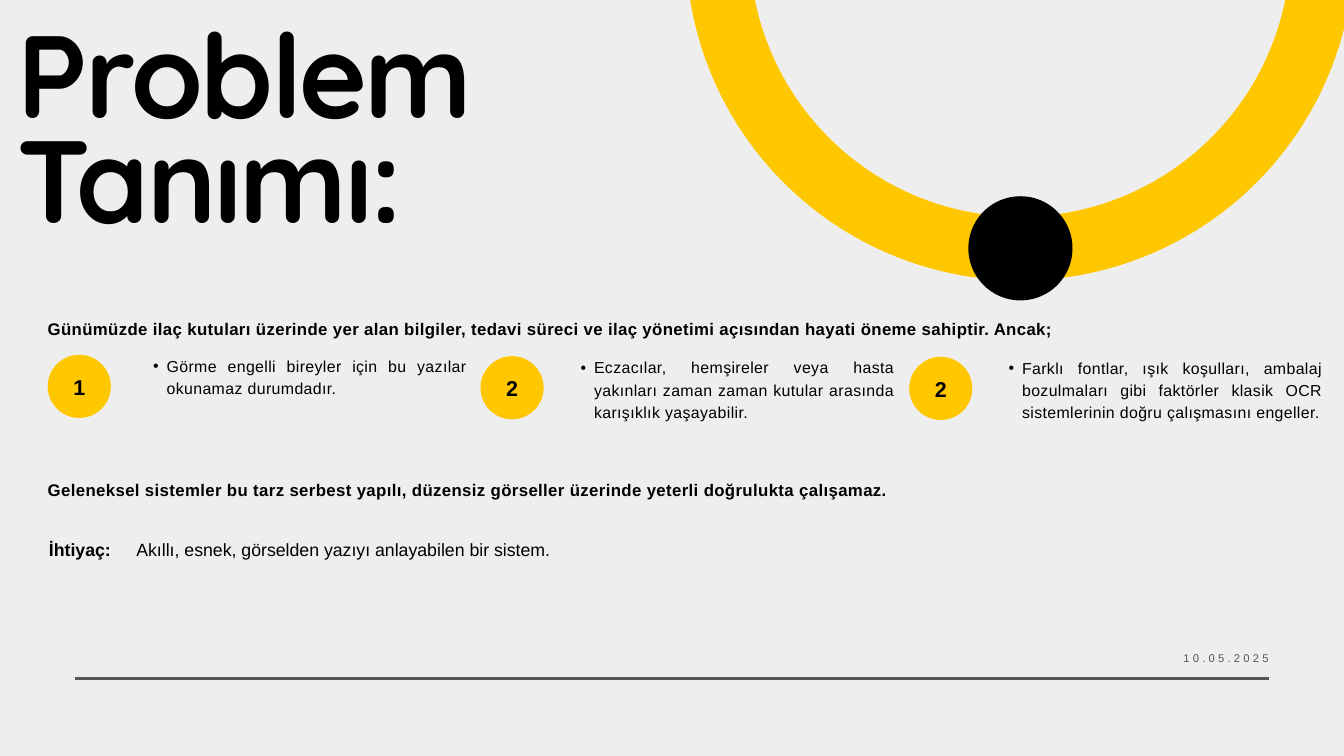
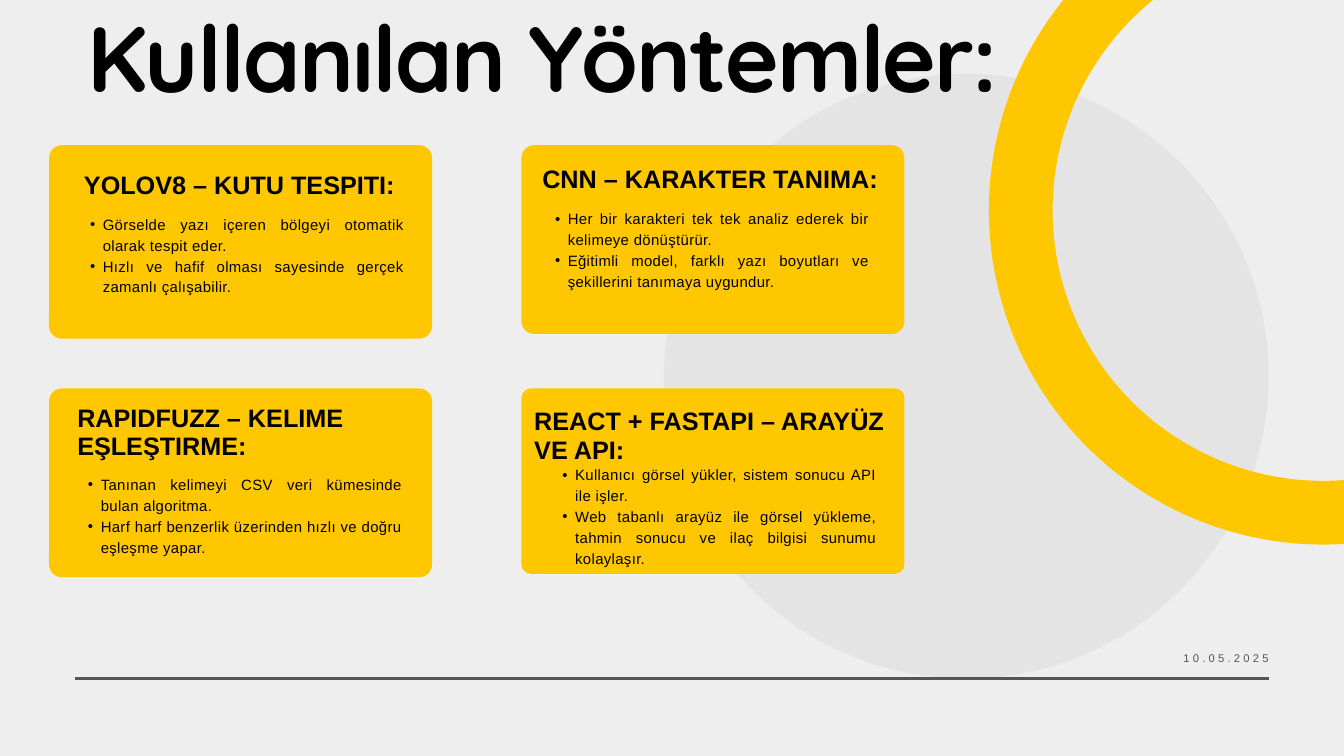
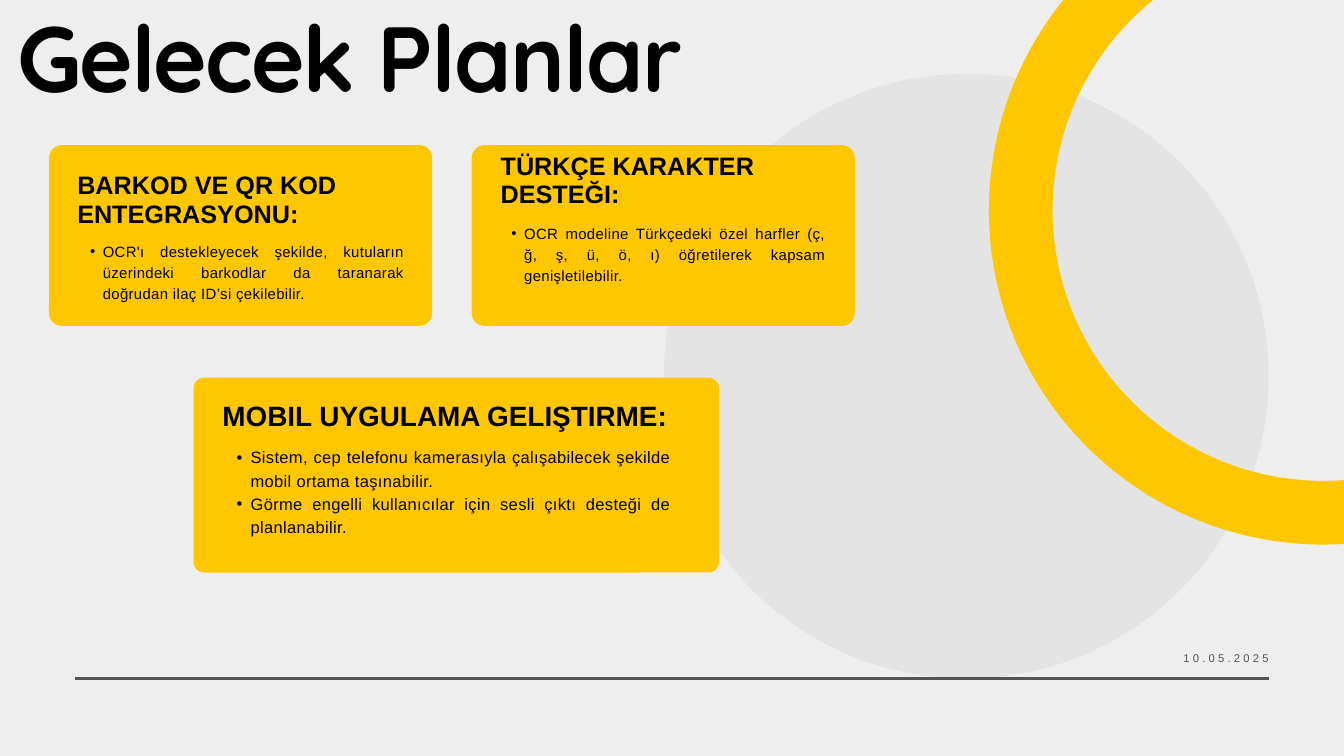
from lxml.etree import SubElement
from pptx import Presentation
from pptx.dml.color import RGBColor
from pptx.enum.shapes import MSO_CONNECTOR as Connector, MSO_SHAPE as Shape
from pptx.enum.text import MSO_ANCHOR as Anchor, MSO_AUTO_SIZE as AutoSize, PP_ALIGN as Align
from pptx.oxml.ns import qn
from pptx.util import Emu, Pt

PX = 9144  # 100 px to the inch
PAPER, YELLOW, BLACK, GREY, DISC = "EEEEEE", "FFC700", "000000", "545454", "D9D9D9"


def px(length):
    return Emu(length * PX)


def color(hex_code):
    return RGBColor.from_string(hex_code)


def style(size, line, bold=False, tracking=0, align=Align.LEFT, indent=0,
          face="Arial", ink=BLACK):
    return {
        "font": {"name": face, "size": Pt(size), "bold": bold},
        "paragraph": {"alignment": align, "line_spacing": Pt(line)},
        "tracking": tracking, "indent": indent, "ink": ink,
    }


STYLES = {
    "big title": style(125.2, 112.7, True, -2.5, face="Quicksand"),
    "title": style(99, 97, True, -2, face="Quicksand"),
    "right title": style(99, 97, True, -2, Align.RIGHT, face="Quicksand"),
    "statement": style(18, 25.2, True, 0.4, Align.JUSTIFY),
    "need label": style(19, 26.6, True, align=Align.CENTER),
    "need": style(19, 26.6, align=Align.CENTER),
    "badge": style(23, 32.2, True, align=Align.CENTER),
    "problem": style(17, 23.8, False, 0.4, Align.JUSTIFY, 20),
    "heading": style(27, 30.5, True),
    "points": style(16, 22.4, False, 0.4, Align.JUSTIFY, 19),
    "wide heading": style(29.9, 33.8, True),
    "wide points": style(17.7, 24.8, False, 0.4, Align.JUSTIFY, 21),
    "date": style(12, 16.8, False, 3.5, Align.RIGHT, ink=GREY),
}


class Deck:
    def __init__(self):
        self.show = Presentation()
        self.show.slide_width, self.show.slide_height = px(2000), px(1125)
        self.slide = None

    def new_slide(self):
        self.slide = self.show.slides.add_slide(self.show.slide_layouts[5])
        fill = self.slide.background.fill
        fill.solid()
        fill.fore_color.rgb = color(PAPER)

    def set_lines(self, frame, lines, style_name):
        look = STYLES[style_name]
        frame.word_wrap = True
        for number, line in enumerate(lines):
            paragraph = frame.add_paragraph() if number else frame.paragraphs[0]
            for name, value in look["paragraph"].items():
                setattr(paragraph, name, value)
            if look["indent"]:
                self.bullet(paragraph, look["indent"])
            run = paragraph.add_run()
            run.text = line
            for name, value in look["font"].items():
                setattr(run.font, name, value)
            run.font.color.rgb = color(look["ink"])
            if look["tracking"]:
                run.font._element.set("spc", str(round(look["tracking"] * 100)))

    def bullet(self, paragraph, indent):
        paragraph.level = 1
        properties = paragraph._p.get_or_add_pPr()
        properties.set("marL", str(px(2 * indent)))
        properties.set("indent", str(px(-indent)))
        SubElement(properties, qn("a:buFont"), typeface="Arial")
        SubElement(properties, qn("a:buChar"), char="•")

    def fit(self, frame, inset=0, bottom=0):
        for side in ("left", "top", "right"):
            setattr(frame, f"margin_{side}", px(inset))
        frame.margin_bottom = px(bottom)

    def text(self, box, lines, style_name):
        frame = self.slide.shapes.add_textbox(*map(px, box)).text_frame
        self.fit(frame)
        self.set_lines(frame, lines, style_name)
        frame.auto_size = AutoSize.SHAPE_TO_FIT_TEXT

    def title(self, box, words, style_name):
        title = self.slide.shapes.title
        title.left, title.top, title.width, title.height = map(px, box)
        self.fit(title.text_frame)
        title.text_frame.vertical_anchor = Anchor.TOP
        self.set_lines(title.text_frame, [words], style_name)
        title.text_frame.auto_size = AutoSize.SHAPE_TO_FIT_TEXT
        self.slide.shapes.element.append(title.element)  # bring above the disc

    def shape(self, kind, box, fill=None, opacity=100):
        shape = self.slide.shapes.add_shape(kind, *map(px, box))
        shape.shadow.inherit = False
        shape.line.fill.background()
        if fill is None:
            shape.fill.background()
            return shape
        shape.fill.solid()
        shape.fill.fore_color.rgb = color(fill)
        if opacity < 100:
            tint = shape.element.spPr.find(".//" + qn("a:srgbClr"))
            SubElement(tint, qn("a:alpha"), val=str(opacity * 1000))
        return shape

    def ring(self, left, top):
        outline = self.shape(Shape.OVAL, (left, top, 900, 900)).line
        outline.color.rgb = color(YELLOW)
        outline.width = Pt(68.25)

    def badge(self, left, top, number):
        frame = self.shape(Shape.OVAL, (left, top, 94, 94), YELLOW).text_frame
        self.fit(frame, 0, 6)
        frame.vertical_anchor = Anchor.MIDDLE
        self.set_lines(frame, [number], "badge")

    def card(self, box, heading_box, heading, points_box, points, radius=19, prefix=""):
        panel = self.shape(Shape.ROUNDED_RECTANGLE, box, YELLOW)
        panel.adjustments[0] = radius / min(box[2:])
        self.text(heading_box, [heading], prefix + "heading")
        self.text(points_box, points, prefix + "points")

    def footer(self):
        rule = self.slide.shapes.add_connector(
            Connector.STRAIGHT, px(112), px(1010), px(1888), px(1010))
        rule.line.color.rgb = color(GREY)
        rule.line.width = Pt(3)
        SubElement(rule._element.spPr, qn("a:effectLst"))
        self.text((1508, 966, 380, 23), ["10.05.2025"], "date")

    def card_slide(self, title_box, title, title_style, cards):
        self.new_slide()
        self.shape(Shape.OVAL, (988, 110, 900, 900), DISC, 43)
        self.footer()
        self.title(title_box, title, title_style)
        self.ring(1519, -137)
        for card in cards:
            self.card(*card)


PROBLEMS = [  # badge left, text left, top, number, text
    (71, 208, 528, "1", "Görme engelli bireyler için bu yazılar okunamaz durumdadır."),
    (715, 844, 530, "2", "Eczacılar, hemşireler veya hasta yakınları zaman zaman kutular "
                         "arasında karışıklık yaşayabilir."),
    (1353, 1481, 531, "2", "Farklı fontlar, ışık koşulları, ambalaj bozulmaları gibi faktörler "
                           "klasik OCR sistemlerinin doğru çalışmasını engeller."),
]

METHODS = [  # panel, heading box, heading, points box, points, radius
    ((776, 216, 570, 281), (807, 245, 539, 44), "CNN – KARAKTER TANIMA:",
     (807, 308, 487, 151),
     ["Her bir karakteri tek tek analiz ederek bir kelimeye dönüştürür.",
      "Eğitimli model, farklı yazı boyutları ve şekillerini tanımaya uygundur."]),
    ((73, 578, 570, 281), (115, 601, 455, 86), "RAPIDFUZZ – KELIME EŞLEŞTIRME:",
     (112, 703, 487, 151),
     ["Tanınan kelimeyi CSV veri kümesinde bulan algoritma.",
      "Harf harf benzerlik üzerinden hızlı ve doğru eşleşme yapar."]),
    ((73, 216, 570, 288), (125, 255, 487, 44), "YOLOV8 – KUTU TESPITI:",
     (115, 316, 487, 150),
     ["Görselde yazı içeren bölgeyi otomatik olarak tespit eder.",
      "Hızlı ve hafif olması sayesinde gerçek zamanlı çalışabilir."]),
    ((776, 578, 570, 276), (795, 606, 551, 86), "REACT + FASTAPI – ARAYÜZ VE API:",
     (818, 689, 487, 181),
     ["Kullanıcı görsel yükler, sistem sonucu API ile işler.",
      "Web tabanlı arayüz ile görsel yükleme, tahmin sonucu ve ilaç bilgisi "
      "sunumu kolaylaşır."], 14),
]

PLANS = [  # the same, then the prefix of the text styles
    ((73, 216, 570, 269), (115, 255, 487, 86), "BARKOD VE QR KOD ENTEGRASYONU:",
     (115, 357, 487, 89),
     ["OCR'ı destekleyecek şekilde, kutuların üzerindeki barkodlar da taranarak "
      "doğrudan ilaç ID’si çekilebilir."]),
    ((288, 562, 782, 290), (331, 596, 738, 48), "MOBIL UYGULAMA GELIŞTIRME:",
     (331, 661, 668, 167),
     ["Sistem, cep telefonu kamerasıyla çalışabilecek şekilde mobil ortama taşınabilir.",
      "Görme engelli kullanıcılar için sesli çıktı desteği de planlanabilir."],
     16, "wide "),
    ((702, 216, 570, 269), (745, 226, 455, 86), "TÜRKÇE KARAKTER DESTEĞI:",
     (742, 330, 487, 89),
     ["OCR modeline Türkçedeki özel harfler (ç, ğ, ş, ü, ö, ı) öğretilerek kapsam "
      "genişletilebilir."]),
]


def main():
    deck = Deck()

    # Problem definition
    deck.new_slide()
    deck.ring(1068, -530)
    deck.shape(Shape.OVAL, (1441, 292, 155, 155), BLACK)
    deck.footer()
    deck.title((26, 54, 933, 351), "Problem Tanımı:", "big title")
    deck.text((71, 469, 1775, 35),
              ["Günümüzde ilaç kutuları üzerinde yer alan bilgiler, tedavi süreci ve ilaç "
               "yönetimi açısından hayati öneme sahiptir. Ancak;"], "statement")
    for badge_left, text_left, top, number, problem in PROBLEMS:
        deck.badge(badge_left, top, number)
        deck.text((text_left, top - 2, 487, 130), [problem], "problem")
    deck.text((71, 709, 1775, 35),
              ["Geleneksel sistemler bu tarz serbest yapılı, düzensiz görseller üzerinde "
               "yeterli doğrulukta çalışamaz."], "statement")
    deck.text((71, 797, 96, 36), ["İhtiyaç:"], "need label")
    deck.text((171, 797, 680, 36),
              ["Akıllı, esnek, görselden yazıyı anlayabilen bir sistem."], "need")

    # Methods and future plans
    deck.card_slide((26, 31, 1458, 164), "Kullanılan Yöntemler:", "right title", METHODS)
    deck.card_slide((26, 31, 1169, 164), "Gelecek Planlar", "title", PLANS)

    deck.show.save("out.pptx")


if __name__ == "__main__":
    main()
